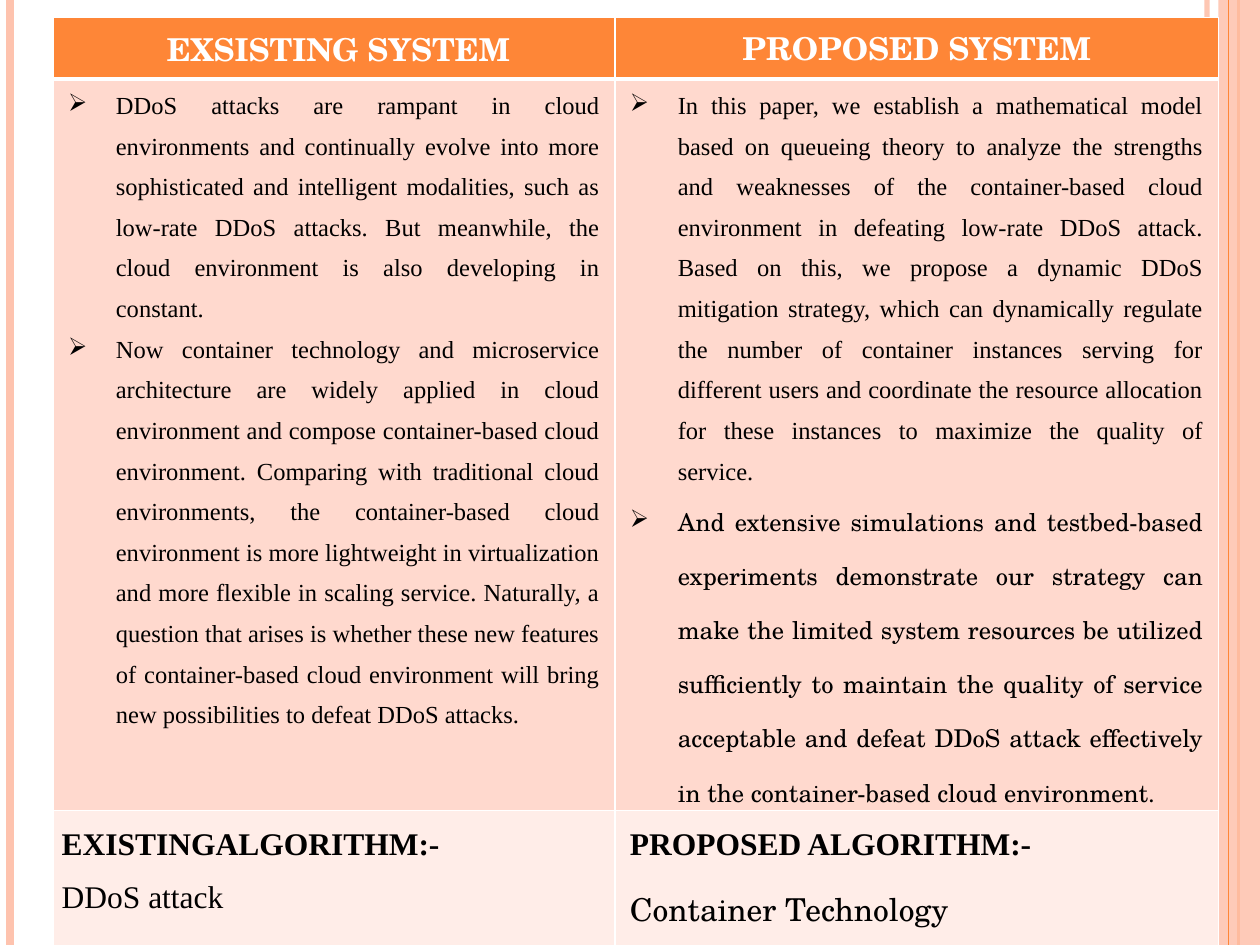
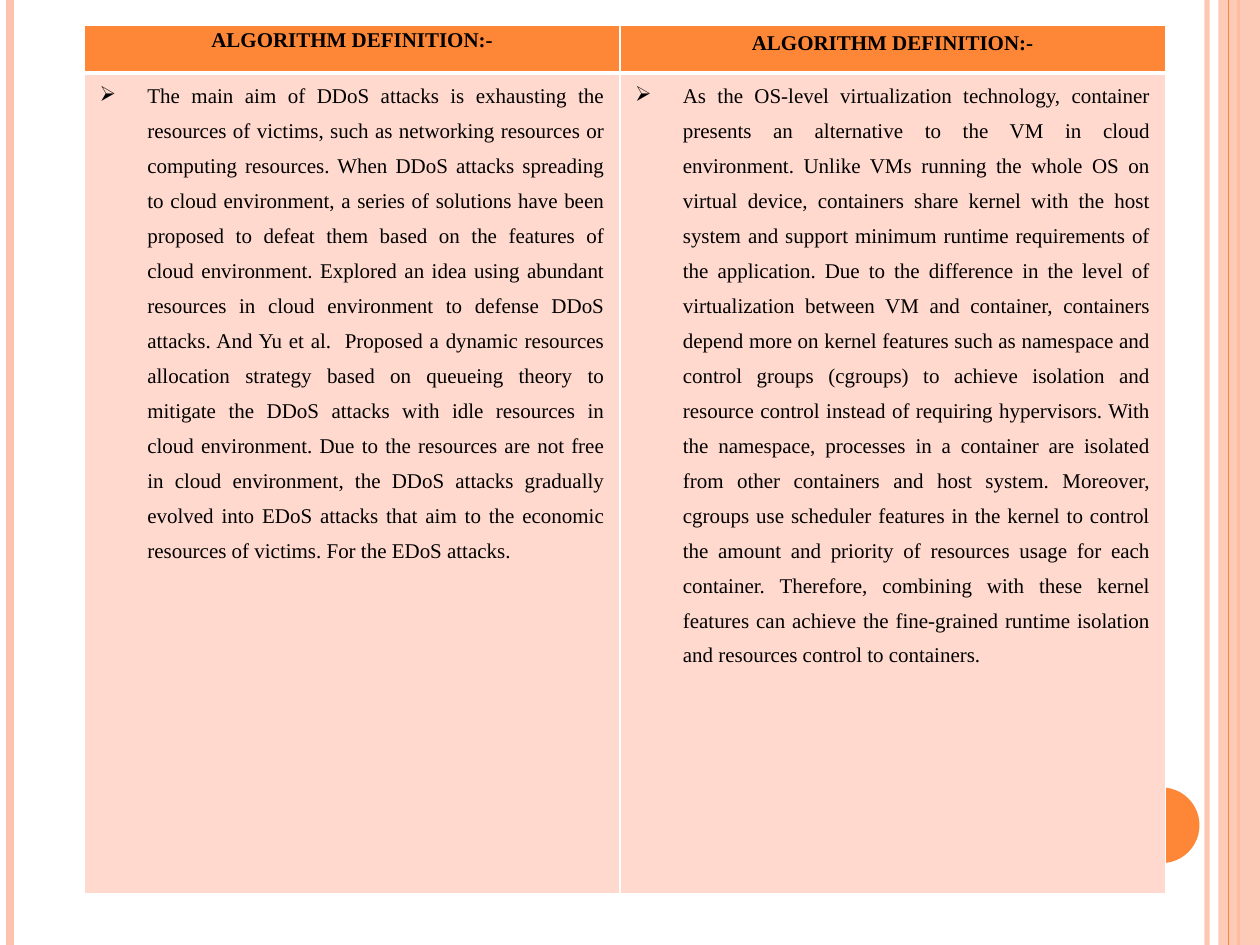
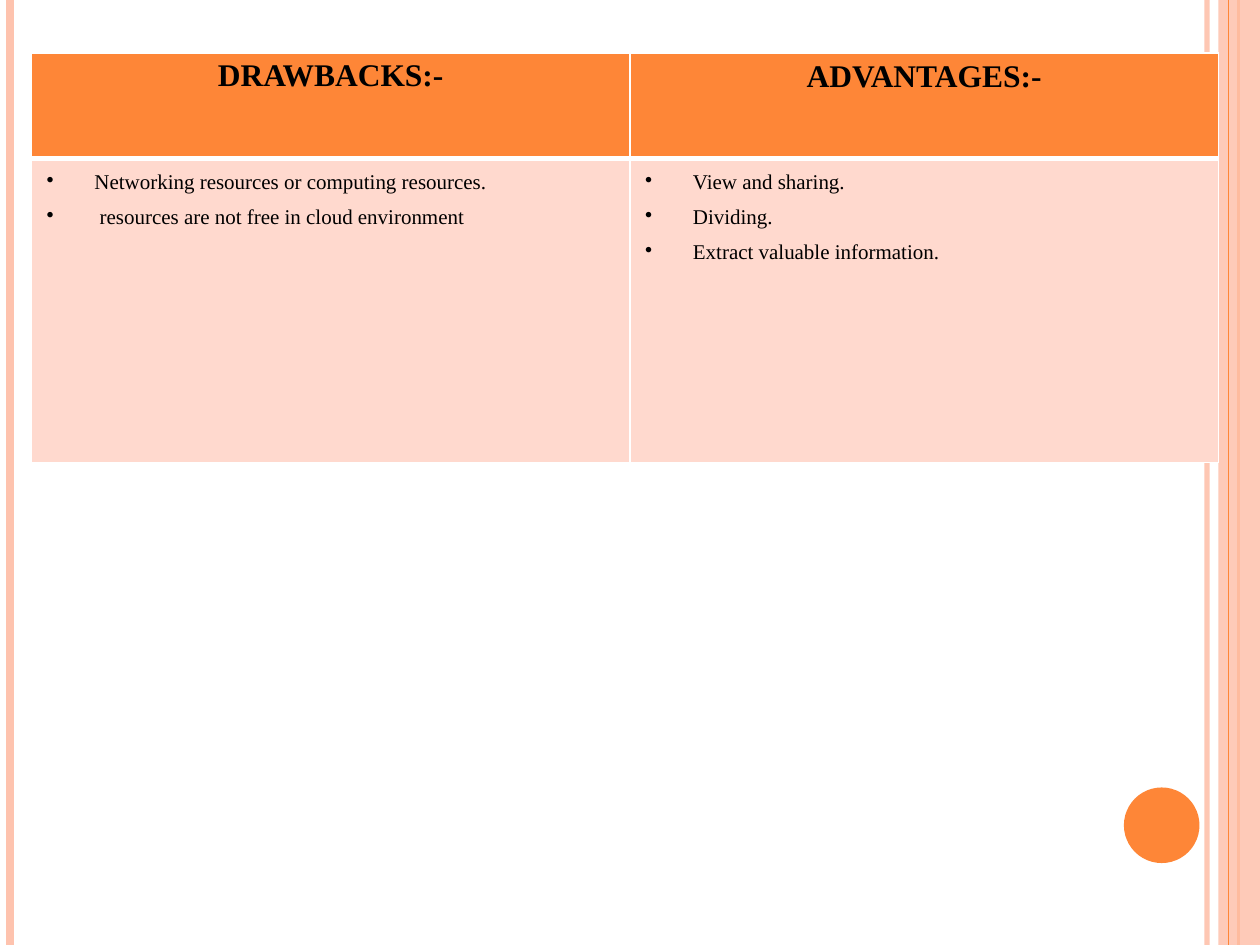
from dataclasses import dataclass

from lxml.etree import SubElement
from pptx import Presentation
from pptx.dml.color import RGBColor
from pptx.enum.shapes import MSO_CONNECTOR as Line, MSO_SHAPE as Shape
from pptx.enum.text import PP_ALIGN as Align
from pptx.oxml.ns import qn
from pptx.util import Pt

PX = 9144
WIDTH, HEIGHT = 1000, 750
COLORS = {
    "orange": "FE8637",
    "peach": "FEC3AE",
    "body": "FFD9CE",
    "pale": "FFEDE8",
    "white": "FFFFFF",
    "ink": "000000",
}
ROW_FILLS = ("orange", "body", "pale")
SERIF, SCHOLA = "Times New Roman", "TeX Gyre Schola"
ARROW, DOT = "➢", "•"


@dataclass
class Passage:
    """One paragraph of a table cell with its formatting."""
    text: str
    size: int = 12
    font: str = SERIF
    color: str = "ink"
    bold: bool = False
    bullet: str = ""
    align: Align = Align.JUSTIFY
    spacing: float = 1.5
    after: int = 0
    indent: int = 0


@dataclass
class Cell:
    """The passages of a table cell and its side and top insets."""
    passages: list
    side: int = 12
    top: int = 0


def heading_row(left, right, **style):
    """Return the two centred heading cells of a comparison."""
    style.update(bold=True, align=Align.CENTER)
    return [
        Cell([Passage(left, spacing=1.15, after=10, **style)]),
        Cell([Passage(right, spacing=1, **style)], 10, 5),
    ]


def points(bullet, *texts, size=12):
    """Return a cell of bulleted passages."""
    return Cell([Passage(text, size, bullet=bullet) for text in texts])


class Deck:
    """Holds the shared style and the current slide."""

    def __init__(self):
        """Start an empty presentation of the right size."""
        self.prs = Presentation()
        self.prs.slide_width, self.prs.slide_height = WIDTH * PX, HEIGHT * PX
        self.slide = None

    def rgb(self, name):
        """Return a named colour."""
        return RGBColor.from_string(COLORS[name])

    def fade(self, shape, percent):
        """Make the colours of a shape partly transparent."""
        for color in shape.element.spPr.iter(qn("a:srgbClr")):
            SubElement(color, qn("a:alpha"), val=str(percent * 1000))

    def stripe(self, x, color, weight, opacity=100):
        """Draw a vertical line over the full slide height."""
        stripe = self.slide.shapes.add_connector(
            Line.STRAIGHT, x * PX, 0, x * PX, HEIGHT * PX)
        stripe.line.color.rgb = self.rgb(color)
        stripe.line.width = Pt(weight)
        SubElement(stripe.element.spPr, qn("a:effectLst"))
        if opacity < 100:
            self.fade(stripe, opacity)

    def block(self, kind, box, color, opacity=100):
        """Draw a filled shape without outline."""
        block = self.slide.shapes.add_shape(kind, *(n * PX for n in box))
        block.shadow.inherit = False
        block.fill.solid()
        block.fill.fore_color.rgb = self.rgb(color)
        block.line.fill.background()
        if opacity < 100:
            self.fade(block, opacity)

    def new_slide(self):
        """Add a slide with the side stripes and the disc."""
        self.slide = self.prs.slides.add_slide(self.prs.slide_layouts[6])
        self.stripe(958, "peach", 3, 93)
        self.stripe(8, "peach", 4.5)
        self.stripe(983, "orange", 1.5)
        self.block(Shape.RECTANGLE, (967, 0, 33, HEIGHT), "peach", 87)
        self.stripe(975, "orange", 0.75)
        self.block(Shape.OVAL, (892, 625, 60, 60), "orange")

    def paragraph(self, paragraph, passage):
        """Write and format one passage."""
        paragraph.text = passage.text
        paragraph.alignment = passage.align
        paragraph.line_spacing = passage.spacing
        paragraph.space_after = Pt(passage.after)
        props = paragraph._p.get_or_add_pPr()
        if passage.bullet:
            props.set("marL", str(38 * PX))
            props.set("indent", str(-38 * PX))
            SubElement(props, qn("a:buChar"), char=passage.bullet)
        else:
            props.set("marL", str(passage.indent * PX))
        for run in paragraph.runs:
            run.font.name = passage.font
            run.font.size = Pt(passage.size)
            run.font.bold = passage.bold
            run.font.color.rgb = self.rgb(passage.color)

    def borders(self, cell, row):
        """Give a cell white edges, heavier below the heading row."""
        weights = {"lnL": 1, "lnR": 1, "lnT": 3 if row == 1 else 1,
                   "lnB": 3 if row == 0 else 1}
        props = cell._tc.get_or_add_tcPr()
        for place, (edge, weight) in enumerate(weights.items()):
            line = SubElement(props, qn(f"a:{edge}"), w=str(Pt(weight)))
            fill = SubElement(line, qn("a:solidFill"))
            SubElement(fill, qn("a:srgbClr"), val=COLORS["white"])
            props.insert(place, line)

    def comparison(self, left, top, widths, heights, rows):
        """Add a table that sets two columns against each other."""
        table = self.slide.shapes.add_table(
            len(rows), len(widths), left * PX, top * PX,
            sum(widths) * PX, sum(heights) * PX).table
        for column, width in zip(table.columns, widths):
            column.width = width * PX
        for r, (height, contents) in enumerate(zip(heights, rows)):
            table.rows[r].height = height * PX
            for c, content in enumerate(contents):
                cell = table.cell(r, c)
                cell.margin_left = cell.margin_right = content.side * PX
                cell.margin_top = cell.margin_bottom = content.top * PX
                cell.fill.solid()
                cell.fill.fore_color.rgb = self.rgb(ROW_FILLS[r])
                self.borders(cell, r)
                frame = cell.text_frame
                for i, passage in enumerate(content.passages):
                    self.paragraph(
                        frame.add_paragraph() if i else frame.paragraphs[0], passage)


def systems(deck):
    """Compare the existing and the proposed system."""
    deck.new_slide()
    existing = points(
        ARROW,
        "DDoS attacks are rampant in cloud environments and continually evolve into "
        "more sophisticated and intelligent modalities, such as low-rate DDoS attacks. "
        "But meanwhile, the cloud environment is also developing in constant. ",
        "Now container technology and microservice architecture are widely applied in "
        "cloud environment and compose container-based cloud environment. Comparing "
        "with traditional cloud environments, the container-based cloud environment is "
        "more lightweight in virtualization and more flexible in scaling service. "
        "Naturally, a question that arises is whether these new features of "
        "container-based cloud environment will bring new possibilities to defeat DDoS "
        "attacks.", size=14)
    proposed = points(
        ARROW,
        "In this paper, we establish a mathematical model based on queueing theory to "
        "analyze the strengths and weaknesses of the container-based cloud environment "
        "in defeating low-rate DDoS attack. Based on this, we propose a dynamic DDoS "
        "mitigation strategy, which can dynamically regulate the number of container "
        "instances serving for different users and coordinate the resource allocation "
        "for these instances to maximize the quality of service.",
        "And extensive simulations and testbed-based experiments demonstrate our "
        "strategy can make the limited system resources be utilized sufficiently to "
        "maintain the quality of service acceptable and defeat DDoS attack effectively "
        "in the container-based cloud environment.", size=14)
    proposed.passages[1].font = SCHOLA
    algorithms = [
        Cell([Passage("EXISTINGALGORITHM:-", 18, bold=True),
              Passage("DDoS attack", 18)], 7),
        Cell([Passage("PROPOSED ALGORITHM:-", 18, bold=True, indent=5),
              Passage("Container Technology", 18, SCHOLA, indent=5)], 7),
    ]
    deck.comparison(42, 14, (446, 479), (36, 495, 123), [
        heading_row(" EXSISTING SYSTEM", "PROPOSED SYSTEM",
                    size=18, font=SCHOLA, color="white"),
        [existing, proposed],
        algorithms,
    ])


def definitions(deck):
    """Define the two algorithms."""
    deck.new_slide()
    attack = points(
        ARROW,
        "The main aim of DDoS attacks is exhausting the resources of victims, such as "
        "networking resources or computing resources. When DDoS attacks spreading to "
        "cloud environment, a series of solutions have been proposed to defeat them "
        "based on the features of cloud environment. Explored an idea using abundant "
        "resources in cloud environment to defense DDoS attacks. And Yu et al.  "
        "Proposed a dynamic resources allocation strategy based on queueing theory to "
        "mitigate the DDoS attacks with idle resources in cloud environment. Due to the "
        "resources are not free in cloud environment, the DDoS attacks gradually "
        "evolved into EDoS attacks that aim to the economic resources of victims. For "
        "the EDoS attacks.")
    container_sentences = (
        "As the OS-level virtualization technology, container presents an alternative "
        "to the VM in cloud environment.",
        "Unlike VMs running the whole OS on virtual device, containers share kernel "
        "with the host system and support minimum runtime requirements of the "
        "application.",
        "Due to the difference in the level of virtualization between VM and container, "
        "containers depend more on kernel features such as namespace and control groups "
        "(cgroups) to achieve isolation and resource control instead of requiring "
        "hypervisors.",
        "With the namespace, processes in a container are isolated from other "
        "containers and host system.",
        "Moreover, cgroups use scheduler features in the kernel to control the amount "
        "and priority of resources usage for each container.",
        "Therefore, combining with these kernel features can achieve the fine-grained "
        "runtime isolation and resources control to containers.",
    )
    container = points(ARROW, " ".join(container_sentences))
    title = "ALGORITHM DEFINITION:-"
    deck.comparison(67, 20, (425, 433), (38, 651),
                    [heading_row(title, title), [attack, container]])


def verdict(deck):
    """Set drawbacks against advantages."""
    deck.new_slide()
    drawbacks = points(DOT, "Networking resources or computing resources.",
                       " resources are not free in cloud environment")
    advantages = points(DOT, "View and sharing.", "Dividing.",
                        "Extract valuable information.")
    deck.comparison(25, 42, (475, 467), (84, 241), [
        heading_row("DRAWBACKS:-", "ADVANTAGES:-", size=18),
        [drawbacks, advantages],
    ])


def main():
    """Build and save the presentation."""
    deck = Deck()
    for build in (systems, definitions, verdict):
        build(deck)
    deck.prs.save("out.pptx")


if __name__ == "__main__":
    main()
